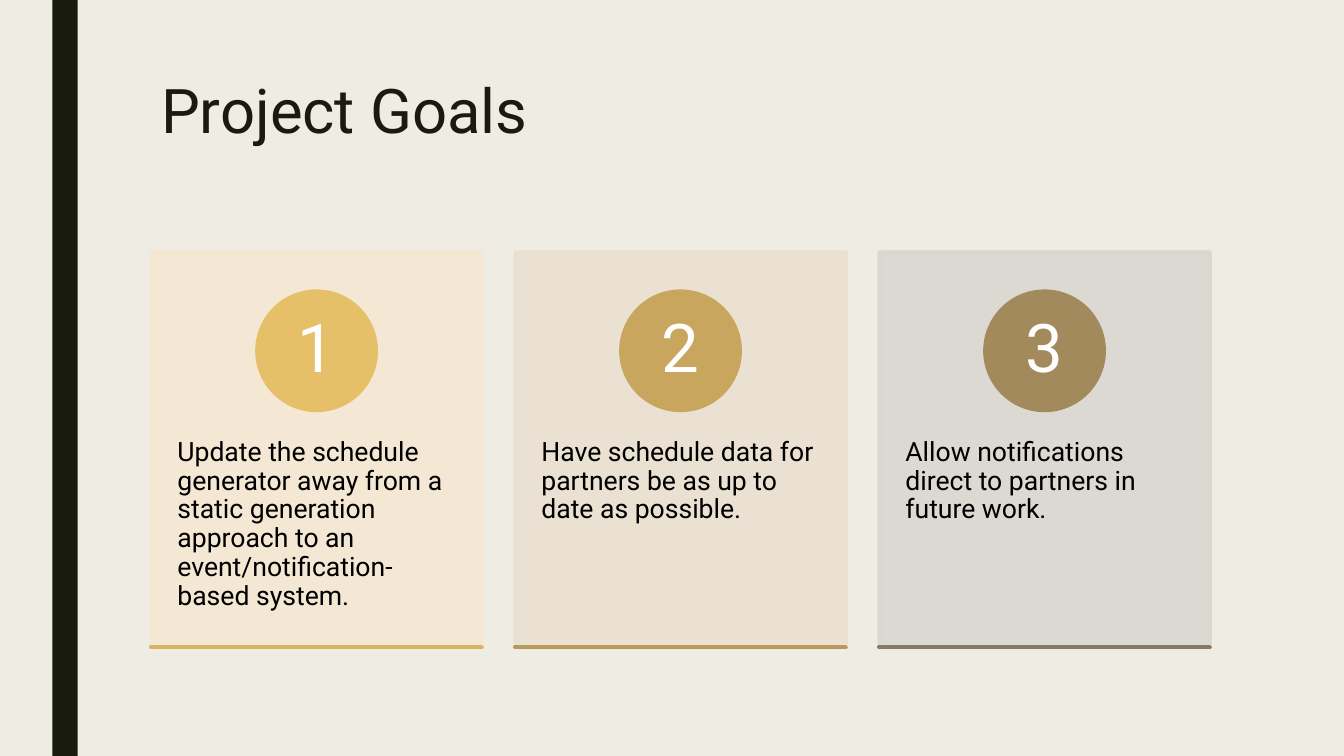
from lxml import etree
from pptx import Presentation
from pptx.dml.color import RGBColor
from pptx.enum.shapes import MSO_SHAPE
from pptx.enum.text import MSO_ANCHOR, PP_ALIGN
from pptx.oxml.ns import qn
from pptx.util import Inches, Pt

RECT = MSO_SHAPE.RECTANGLE
OVAL = MSO_SHAPE.OVAL
TOP = MSO_ANCHOR.TOP
MIDDLE = MSO_ANCHOR.MIDDLE
LEFT = PP_ALIGN.LEFT
CENTER = PP_ALIGN.CENTER

GOALS = [
    ("Update the schedule generator away from a static generation approach "
     "to an event/notification-based system.", "F5E8D4", "E6C069", "D9B362"),
    ("Have schedule data for partners be as up to date as possible.",
     "EAE0D1", "C9A65E", "B7995B"),
    ("Allow notifications direct to partners in future work.",
     "DAD7D2", "A38A5C", "897B61"),
]
CARD_LEFT, CARD_TOP = 1.5, 2.5
CARD_WIDTH, CARD_HEIGHT = 3.28, 3.92
CARD_STEP = 3.61
CIRCLE = 1.18
NUMBER = 0.83


def color(value):
    return RGBColor.from_string(value)


class SlideBuilder:
    font = "Roboto"
    dark = "191B0E"
    background = "EFEDE3"
    line_width = 2.75

    def __init__(self, prs):
        self.slide = prs.slides.add_slide(prs.slide_layouts[6])
        fill = self.slide.background.fill
        fill.solid()
        fill.fore_color.rgb = color(self.background)

    def shape(self, kind, x, y, w, h, fill, outlined=True, opacity=100):
        sp = self.slide.shapes.add_shape(
            kind, Inches(x), Inches(y), Inches(w), Inches(h))
        sp.shadow.inherit = False
        sp.fill.solid()
        sp.fill.fore_color.rgb = color(fill)
        if outlined:
            sp.line.color.rgb = color(fill)
            sp.line.width = Pt(self.line_width)
        else:
            sp.line.fill.background()
        if opacity < 100:
            for clr in sp._element.spPr.iter(qn("a:srgbClr")):
                alpha = etree.SubElement(clr, qn("a:alpha"))
                alpha.set("val", str(opacity * 1000))

    def text(self, text, x, y, w, h, size, fill, inset,
             anchor=TOP, align=LEFT, spacing=0.9):
        box = self.slide.shapes.add_textbox(
            Inches(x), Inches(y), Inches(w), Inches(h))
        tf = box.text_frame
        tf.word_wrap = True
        tf.vertical_anchor = anchor
        tf.margin_left = tf.margin_right = Inches(inset[0])
        tf.margin_top = tf.margin_bottom = Inches(inset[1])
        tf.text = text
        p = tf.paragraphs[0]
        p.alignment = align
        p.line_spacing = spacing
        r = p.runs[0]
        r.font.name = self.font
        r.font.size = Pt(size)
        r.font.color.rgb = color(fill)

    def card(self, number, x, goal, panel, circle, rule):
        self.shape(RECT, x, CARD_TOP, CARD_WIDTH, CARD_HEIGHT, panel,
                   opacity=90)
        self.text(goal, x, 3.99, CARD_WIDTH, 2.35, 19, "000000",
                  (0.26, 0.36))
        self.shape(OVAL, x + (CARD_WIDTH - CIRCLE) / 2, 2.89,
                   CIRCLE, CIRCLE, circle)
        self.text(str(number), x + (CARD_WIDTH - NUMBER) / 2, 3.06,
                  NUMBER, NUMBER, 48, "FFFFFF", (0.09, 0.01),
                  MIDDLE, CENTER)
        self.shape(RECT, x, CARD_TOP + CARD_HEIGHT, CARD_WIDTH, 0, rule)


def main():
    prs = Presentation()
    prs.slide_width = Inches(13.33)
    prs.slide_height = Inches(7.5)
    s = SlideBuilder(prs)
    s.shape(RECT, 0.52, 0, 0.25, 7.5, s.dark, outlined=False)
    s.text("Project Goals", 1.5, 0.75, 10.5, 1.62, 44, s.dark,
           (0.1, 0.05), spacing=0.89)
    for i, goal in enumerate(GOALS):
        s.card(i + 1, CARD_LEFT + i * CARD_STEP, *goal)
    prs.save("out.pptx")


if __name__ == "__main__":
    main()
